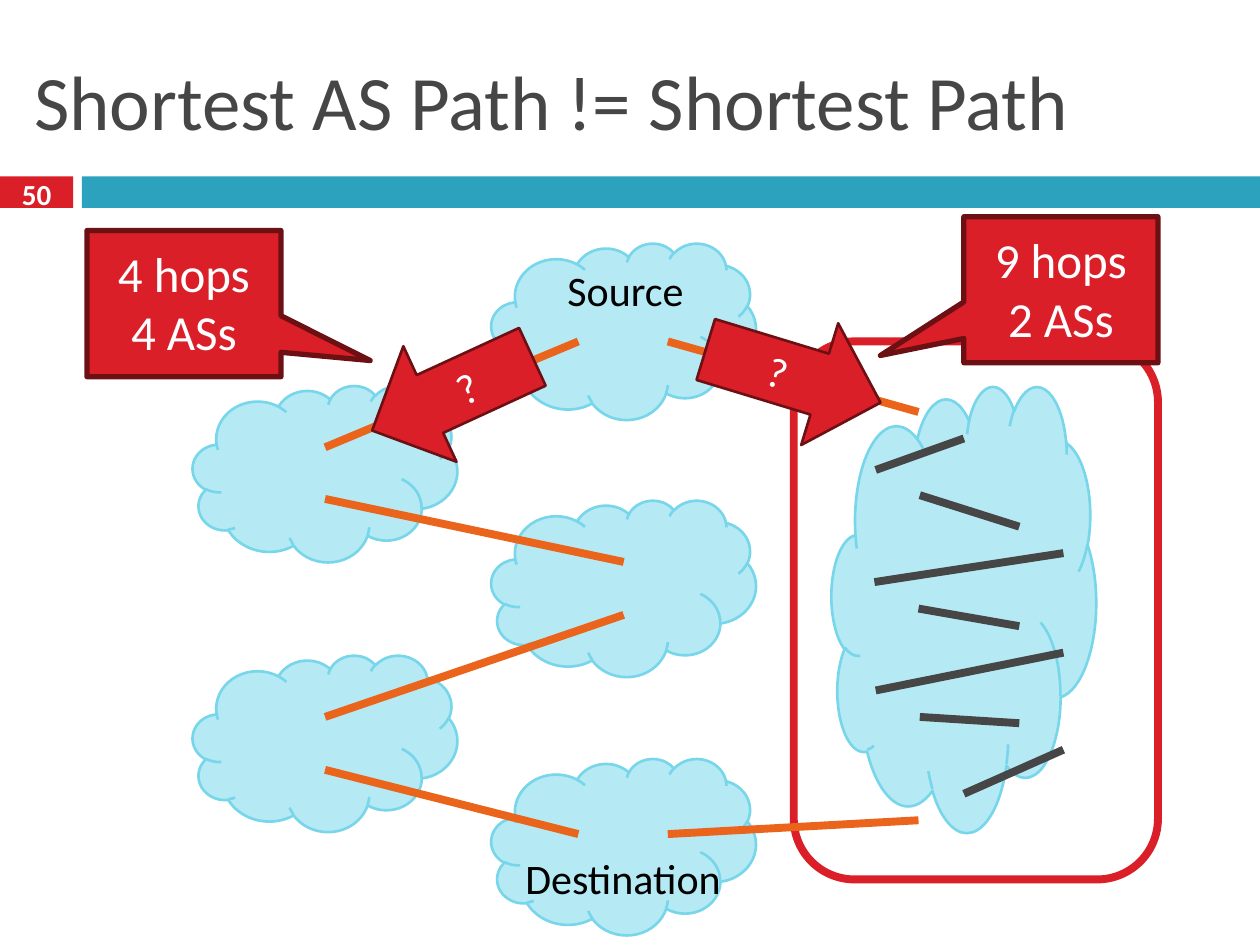
import lxml.etree
import pptx
import pptx.dml.color
import pptx.enum.shapes
import pptx.enum.text
import pptx.oxml.ns
import pptx.util

Inches = pptx.util.Inches
SHAPES = pptx.enum.shapes.MSO_SHAPE
ALIGN = pptx.enum.text.PP_ALIGN
ANCHOR = pptx.enum.text.MSO_ANCHOR
FIT = pptx.enum.text.MSO_AUTO_SIZE

COLOURS = {
    "red": "DA1F28", "dark_red": "6D1014", "teal": "2DA2BF",
    "cloud": "B5E9F4", "cloud_edge": "78D6EA", "orange": "EB641B",
    "grey": "464646", "black": "000000", "white": "FFFFFF",
}

CLOUD_WIDTH, CLOUD_HEIGHT = 2.1, 1.4
LEFT_COLUMN, MIDDLE_COLUMN, RIGHT_COLUMN = 1.53, 3.9, 6.6
CLOUDS = [
    (MIDDLE_COLUMN, 1.93, CLOUD_HEIGHT),
    (LEFT_COLUMN, 3.06, CLOUD_HEIGHT),
    (MIDDLE_COLUMN, 3.97, CLOUD_HEIGHT),
    (LEFT_COLUMN, 5.2, CLOUD_HEIGHT),
    (MIDDLE_COLUMN, 6.02, CLOUD_HEIGHT),
    (RIGHT_COLUMN, 3.06, 3.54),
]
LINKS_BETWEEN_SYSTEMS = [
    (2.58, 3.55, 4.59, 2.71),
    (2.58, 3.96, 4.95, 4.46),
    (2.58, 5.69, 4.95, 4.88),
    (4.59, 6.62, 2.58, 6.11),
    (7.29, 3.27, 5.3, 2.71),
    (5.3, 6.62, 7.29, 6.51),
]
HOPS_INSIDE_SYSTEM = [
    (6.95, 3.73, 7.65, 3.48),
    (7.3, 3.93, 8.09, 4.18),
    (6.94, 4.62, 8.44, 4.39),
    (8.09, 4.97, 7.29, 4.83),
    (8.44, 5.18, 6.95, 5.48),
    (8.09, 5.74, 7.3, 5.69),
    (8.44, 5.95, 7.65, 6.3),
]


def colour(name):
    return pptx.dml.color.RGBColor.from_string(COLOURS[name])


def set_values(target, values):
    for name, value in values.items():
        setattr(target, name, value)


def place(box, left, top, width, height):
    names = ("left", "top", "width", "height")
    set_values(box, dict(zip(names, map(Inches, (left, top, width, height)))))


def write(box, lines, size, ink, align=ALIGN.CENTER, bold=False, **frame_values):
    frame = box.text_frame
    set_values(frame, frame_values)
    for index, line in enumerate(lines):
        para = frame.paragraphs[0] if index == 0 else frame.add_paragraph()
        para.alignment = align
        span = para.add_run()
        span.text = line
        set_values(span.font, {"name": "Calibri", "size": pptx.util.Pt(size), "bold": bold})
        span.font.color.rgb = colour(ink)


def add_figure(owner, kind, bounds, fill=None, edge=None, weight=1.5):
    figure = owner.shapes.add_shape(kind, *map(Inches, bounds))
    figure.shadow.inherit = False
    if fill:
        figure.fill.solid()
        figure.fill.fore_color.rgb = colour(fill)
    else:
        figure.fill.background()
    if edge:
        figure.line.color.rgb = colour(edge)
        figure.line.width = pptx.util.Pt(weight)
    else:
        figure.line.fill.background()
    return figure


def add_label(owner, bounds, lines, size, ink, **values):
    box = owner.shapes.add_textbox(*map(Inches, bounds))
    write(box, lines, size, ink, **values)


def add_link(page, ends, ink):
    link = page.shapes.add_connector(
        pptx.enum.shapes.MSO_CONNECTOR.STRAIGHT, *map(Inches, ends))
    link.line.color.rgb = colour(ink)
    link.line.width = pptx.util.Pt(4.5)
    lxml.etree.SubElement(link._element.spPr, pptx.oxml.ns.qn("a:effectLst"))


def add_question_arrow(page, kind, bounds, rotation):
    arrow = add_figure(page, kind, bounds, "red", "dark_red")
    arrow.rotation = rotation
    write(arrow, ["?"], 24, "white", vertical_anchor=ANCHOR.MIDDLE)


def add_callout(page, left, top, tip, lines):
    group = page.shapes.add_group_shape()
    callout = add_figure(group, SHAPES.RECTANGULAR_CALLOUT,
                         (left, top, 1.54, 1.16), "red", "dark_red", 3)
    for index, value in enumerate(tip):
        callout.adjustments[index] = value
    add_label(group, (left, top + 0.05, 1.54, 1.04), lines, 28, "white",
              word_wrap=True, auto_size=FIT.SHAPE_TO_FIT_TEXT)


def add_heading(page):
    add_figure(page, SHAPES.RECTANGLE, (0, 1.4, 0.58, 0.25), "red")
    add_figure(page, SHAPES.RECTANGLE, (0.65, 1.4, 9.35, 0.25), "teal")
    title = page.shapes.title
    place(title, 0.17, 0.25, 9.67, 1.08)
    write(title, ["Shortest AS Path != Shortest Path"], 44, "grey", ALIGN.LEFT,
          word_wrap=True, auto_size=FIT.NONE, vertical_anchor=ANCHOR.MIDDLE)
    add_label(page, (0, 1.37, 0.58, 0.33), ["50"], 16.6, "white", bold=True,
              word_wrap=True, vertical_anchor=ANCHOR.MIDDLE)


def add_network(page):
    add_figure(page, SHAPES.ROUNDED_RECTANGLE, (6.3, 2.71, 2.89, 4.27), None, "red", 4.5)
    for left, top, height in CLOUDS:
        add_figure(page, SHAPES.CLOUD, (left, top, CLOUD_WIDTH, height), "cloud", "cloud_edge")
    for links, ink in ((LINKS_BETWEEN_SYSTEMS, "orange"), (HOPS_INSIDE_SYSTEM, "grey")):
        for ends in links:
            add_link(page, ends, ink)
    for name, bounds in (("Source", (4.33, 2.05, 1.27, 0.5)),
                         ("Destination", (4, 6.72, 1.89, 0.5))):
        add_label(page, bounds, [name], 24, "black",
                  word_wrap=False, auto_size=FIT.SHAPE_TO_FIT_TEXT)


def main():
    deck = pptx.Presentation()
    set_values(deck, {"slide_width": Inches(10), "slide_height": Inches(7.5)})
    page = deck.slides.add_slide(deck.slide_layouts[5])
    add_heading(page)
    add_network(page)
    add_question_arrow(page, SHAPES.RIGHT_ARROW, (5.57, 2.48, 1.45, 1.01), 16.9)
    add_question_arrow(page, SHAPES.LEFT_ARROW, (2.89, 2.62, 1.4, 1.01), 335.3)
    add_callout(page, 0.69, 1.83, (0.96, 0.39), ["4 hops", "4 ASs"])
    add_callout(page, 7.65, 1.72, (-0.93, 0.45), ["9 hops", "2 ASs"])
    deck.save("out.pptx")


if __name__ == "__main__":
    main()
